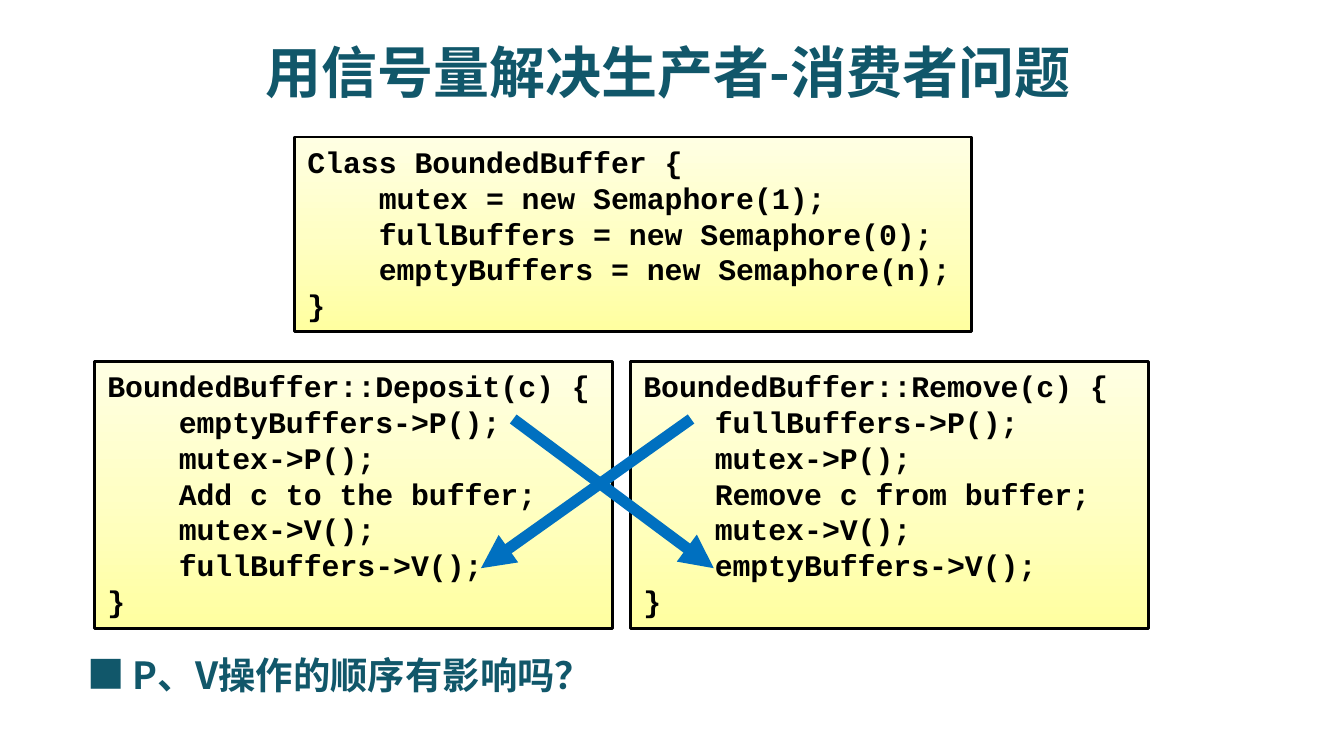
from copy import deepcopy
from dataclasses import dataclass

from lxml.etree import SubElement
from pptx import Presentation
from pptx.dml.color import RGBColor
from pptx.enum.shapes import MSO_CONNECTOR, MSO_SHAPE
from pptx.enum.text import MSO_ANCHOR, PP_ALIGN
from pptx.oxml.ns import qn
from pptx.slide import Slide
from pptx.text.text import TextFrame
from pptx.util import Cm, Pt


@dataclass(frozen=True)
class Theme:
    heading: RGBColor = RGBColor(0x11, 0x57, 0x6A)
    code: RGBColor = RGBColor(0, 0, 0)
    arrow: RGBColor = RGBColor(0x00, 0x70, 0xC0)
    gradient: tuple[str, ...] = ("FFFFA0", "FFFFC5", "FFFFE3")
    heading_font: str = "Noto Sans CJK SC"
    marker_font: str = "Noto Sans CJK JP"
    code_font: str = "Courier New"
    title_size: Pt = Pt(30)
    question_size: Pt = Pt(20)
    code_size: Pt = Pt(16)
    code_indent: Cm = Cm(1.35)


@dataclass(frozen=True)
class Box:
    left: float
    top: float
    width: float
    height: float

    def lengths(self) -> tuple[Cm, Cm, Cm, Cm]:
        return Cm(self.left), Cm(self.top), Cm(self.width), Cm(self.height)


@dataclass(frozen=True)
class CodePanel:
    box: Box
    opening: str
    body: tuple[str, ...]


@dataclass(frozen=True)
class Arrow:
    start_x: float
    end_x: float


THEME = Theme()
METHOD_TOP, METHOD_WIDTH, METHOD_HEIGHT = 6.83, 9.8, 5.05
ARROW_TOP, ARROW_BOTTOM = 7.92, 10.74

PANELS = (
    CodePanel(Box(5.56, 2.59, 12.8, 3.68), "Class BoundedBuffer {", (
        "mutex = new Semaphore(1);",
        "fullBuffers = new Semaphore(0);",
        "emptyBuffers = new Semaphore(n);")),
    CodePanel(Box(1.78, METHOD_TOP, METHOD_WIDTH, METHOD_HEIGHT),
              "BoundedBuffer::Deposit(c) {", (
        "emptyBuffers->P();", "mutex->P();", "Add c to the buffer;",
        "mutex->V();", "fullBuffers->V();")),
    CodePanel(Box(11.91, METHOD_TOP, METHOD_WIDTH, METHOD_HEIGHT),
              "BoundedBuffer::Remove(c) {", (
        "fullBuffers->P();", "mutex->P();", "Remove c from buffer;",
        "mutex->V();", "emptyBuffers->V();")),
)
ARROWS = (Arrow(9.7, 13.49), Arrow(13.06, 9.09))


def format_text(frame: TextFrame, font: str, size: Pt, color: RGBColor) -> None:
    for paragraph in frame.paragraphs:
        for run in paragraph.runs:
            run.font.name = font
            run.font.size = size
            run.font.bold = True
            run.font.color.rgb = color
            SubElement(run.font._element, qn("a:ea"), typeface=font)


def add_label(slide: Slide, box: Box, text: str, font: str) -> TextFrame:
    frame = slide.shapes.add_textbox(*box.lengths()).text_frame
    frame.word_wrap = True
    frame.vertical_anchor = MSO_ANCHOR.MIDDLE
    frame.text = text
    format_text(frame, font, THEME.question_size, THEME.heading)
    return frame


def add_panel(slide: Slide, panel: CodePanel) -> None:
    shape = slide.shapes.add_shape(MSO_SHAPE.RECTANGLE, *panel.box.lengths())
    shape.shadow.inherit = False
    shape.line.color.rgb = THEME.code
    shape.line.width = Pt(1.5)

    # Gradient from the bottom edge upwards, with a middle stop
    shape.fill.gradient()
    shape.fill.gradient_angle = 90
    stop_list = shape._element.spPr.find(f".//{qn('a:gsLst')}")
    stop_list.insert(1, deepcopy(stop_list[0]))
    for index, stop in enumerate(shape.fill.gradient_stops):
        stop.position = index / 2
        stop.color.rgb = RGBColor.from_string(THEME.gradient[index])

    # Code lines, the body indented
    frame = shape.text_frame
    frame.word_wrap = True
    frame.vertical_anchor = MSO_ANCHOR.TOP
    frame.text = "\n".join((panel.opening, *panel.body, "}"))
    for paragraph in frame.paragraphs:
        paragraph.alignment = PP_ALIGN.LEFT
    for paragraph in frame.paragraphs[1:-1]:
        paragraph._p.get_or_add_pPr().set("marL", str(THEME.code_indent))
    format_text(frame, THEME.code_font, THEME.code_size, THEME.code)


def add_arrow(slide: Slide, arrow: Arrow) -> None:
    connector = slide.shapes.add_connector(
        MSO_CONNECTOR.STRAIGHT, Cm(arrow.start_x), Cm(ARROW_TOP),
        Cm(arrow.end_x), Cm(ARROW_BOTTOM))
    connector.line.color.rgb = THEME.arrow
    connector.line.width = Pt(6)
    SubElement(connector.line._get_or_add_ln(), qn("a:tailEnd"), type="triangle")
    SubElement(connector._element.spPr, qn("a:effectLst"))


presentation = Presentation()
presentation.slide_width = Cm(25.4)
presentation.slide_height = Cm(14.29)
slide = presentation.slides.add_slide(presentation.slide_layouts[5])

# Title
title = slide.shapes.title
title.left, title.top, title.width, title.height = Box(1.19, 0.64, 22.86, 1.42).lengths()
title.text_frame.text = "用信号量解决生产者-消费者问题"
title.text_frame.vertical_anchor = MSO_ANCHOR.MIDDLE
title.text_frame.paragraphs[0].alignment = PP_ALIGN.CENTER
format_text(title.text_frame, THEME.heading_font, THEME.title_size, THEME.heading)

# Code panels
for panel in PANELS:
    add_panel(slide, panel)

# Question with its square marker
question = add_label(slide, Box(2.26, 12.29, 9.47, 1.04),
                     "P、V操作的顺序有影响吗？", THEME.heading_font)
question.paragraphs[0].line_spacing = 0.9
add_label(slide, Box(1.4, 12.17, 1.19, 1.12), "■", THEME.marker_font)

# Arrows between matching operations
for arrow in ARROWS:
    add_arrow(slide, arrow)

presentation.save("out.pptx")
